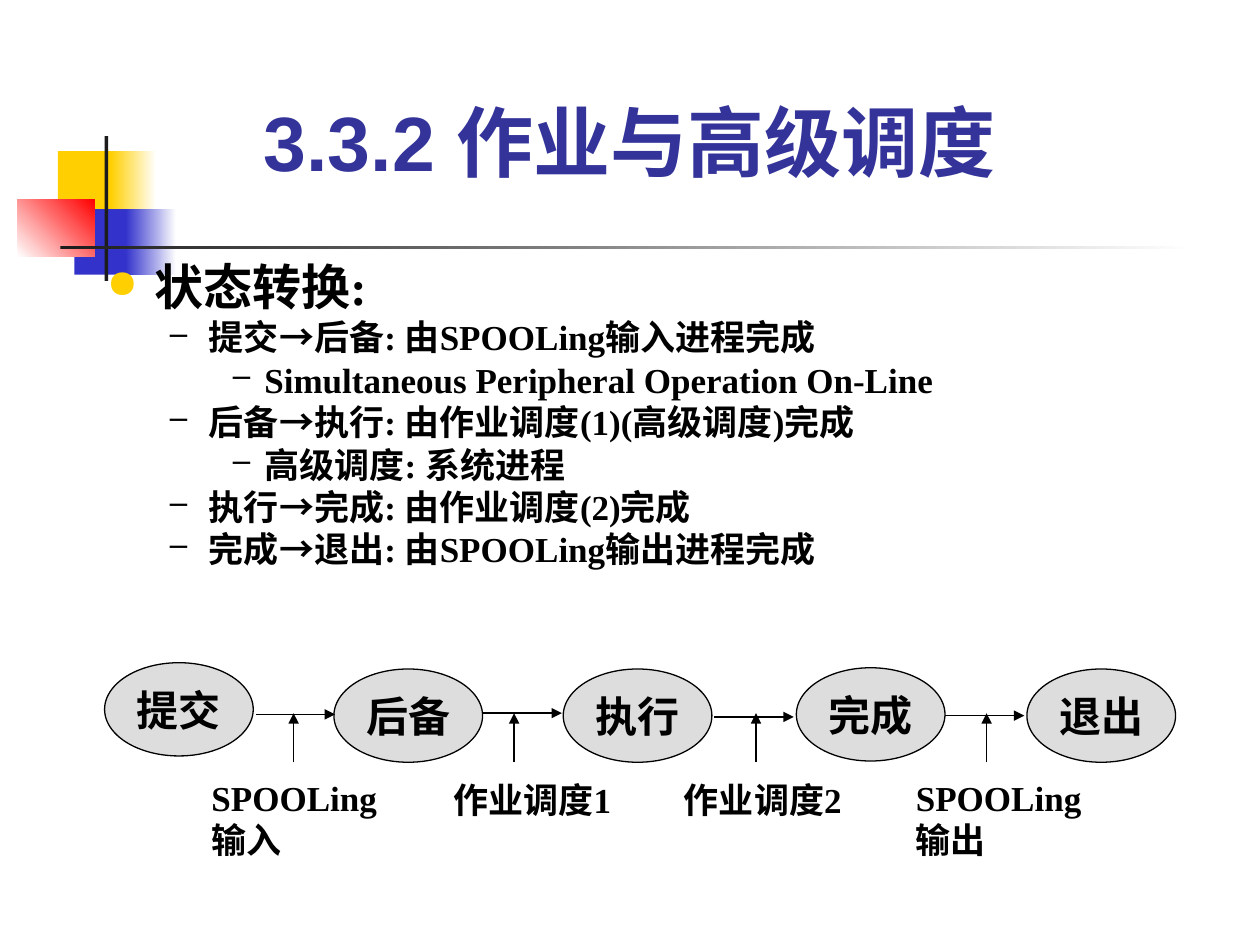
from lxml import etree
from pptx import Presentation
from pptx.dml.color import RGBColor
from pptx.enum import shapes, text
from pptx.oxml import ns
from pptx.util import Inches, Pt

COLORS = {
    "black": "000000", "white": "FFFFFF", "title": "333399", "yellow": "FFCF01",
    "blue": "3333CC", "red": "FF0000", "dark": "1C1C1C", "state": "DDDDDD",
}
SERIF, SANS = "Times New Roman", "Arial"

# left, top, width, height, colours (two make a gradient), gradient angle
DECORATION = [
    (0.46, 1.2, 0.48, 0.52, ["yellow"], 0),
    (0.88, 1.2, 0.36, 0.52, ["yellow", "white"], 0),
    (0.59, 1.66, 0.46, 0.52, ["blue"], 0),
    (1, 1.66, 0.4, 0.52, ["blue", "white"], 0),
    (0.14, 1.58, 0.61, 0.46, ["white", "red"], 45),
    (0.83, 1.08, 0.03, 1.15, ["dark"], 0),
    (0.48, 1.95, 9, 0.03, ["dark", "white"], 0),
]
BULLETS = [
    (0, "状态转换:"),
    (1, "提交→后备: 由SPOOLing输入进程完成"),
    (2, "Simultaneous Peripheral Operation On-Line"),
    (1, "后备→执行: 由作业调度(1)(高级调度)完成"),
    (2, "高级调度: 系统进程"),
    (1, "执行→完成: 由作业调度(2)完成"),
    (1, "完成→退出: 由SPOOLing输出进程完成"),
]
# indent, hanging, text size, space before, bullet, bullet colour, bullet percent
LEVELS = [
    (0.38, 0.38, 28, 0, "●", "yellow", 80),
    (0.81, 0.31, 20, 5, "–", "black", 90),
    (1.25, 0.25, 20, 5, "–", "black", 90),
]
STATES = [("提交", 0.83, 5.26), ("后备", 2.65, 5.31), ("执行", 4.47, 5.31),
          ("完成", 6.32, 5.3), ("退出", 8.15, 5.31)]
STEPS = [(2.03, 5.67), (3.83, 5.66), (5.67, 5.69), (7.5, 5.68)]
# text, left, top, width, x of the pointer
CAUSES = [
    ("SPOOLing输入", 1.58, 6.11, 1.67, 2.33),
    ("作业调度1", 3.5, 6.13, 1.5, 4.08),
    ("作业调度2", 5.33, 6.13, 1.5, 6),
    ("SPOOLing输出", 7.17, 6.11, 1.58, 7.83),
]


def rgb(name):
    return RGBColor.from_string(COLORS[name])


def style_run(r, size, color="black", font=SERIF):
    r.font.size, r.font.bold, r.font.name = Pt(size), True, font
    r.font.color.rgb = rgb(color)


def add_shape(s, kind, left, top, width, height):
    sp = s.shapes.add_shape(kind, *map(Inches, (left, top, width, height)))
    sp.shadow.inherit = False
    return sp


def add_block(s, left, top, width, height, colors, angle):
    sp = add_shape(s, shapes.MSO_SHAPE.RECTANGLE, left, top, width, height)
    sp.line.fill.background()
    if len(colors) == 1:
        sp.fill.solid()
        sp.fill.fore_color.rgb = rgb(colors[0])
        return
    sp.fill.gradient()
    sp.fill.gradient_angle = angle
    for stop, color, position in zip(sp.fill.gradient_stops, colors, (0, 1)):
        stop.color.rgb = rgb(color)
        stop.position = position


def add_text(s, words, left, top, width, height, size, color="black", font=SERIF):
    tf = s.shapes.add_textbox(*map(Inches, (left, top, width, height))).text_frame
    tf.word_wrap = True
    tf.text = words
    style_run(tf.paragraphs[0].runs[0], size, color, font)
    return tf


def add_state(s, name, left, top):
    sp = add_shape(s, shapes.MSO_SHAPE.OVAL, left, top, 1.18, 0.74)
    sp.fill.solid()
    sp.fill.fore_color.rgb = rgb("state")
    sp.line.color.rgb, sp.line.width = rgb("black"), Pt(0.75)
    tf = sp.text_frame
    tf.word_wrap = False
    tf.vertical_anchor = text.MSO_ANCHOR.MIDDLE
    tf.text = name
    tf.paragraphs[0].alignment = text.PP_ALIGN.CENTER
    style_run(tf.paragraphs[0].runs[0], 24)


def add_arrow(s, x1, y1, x2, y2):
    line = s.shapes.add_connector(shapes.MSO_CONNECTOR.STRAIGHT,
                                  *map(Inches, (x1, y1, x2, y2)))
    line.line.color.rgb, line.line.width = rgb("black"), Pt(0.75)
    etree.SubElement(line.line._get_or_add_ln(), ns.qn("a:tailEnd"), type="triangle")
    etree.SubElement(line._element.spPr, ns.qn("a:effectLst"))


def format_bullet(p, level):
    indent, hanging, size, before, char, color, percent = LEVELS[level]
    p.level = level
    pPr = p._p.get_or_add_pPr()
    pPr.set("marL", str(Inches(indent)))
    pPr.set("indent", str(-Inches(hanging)))
    bu_color = etree.SubElement(pPr, ns.qn("a:buClr"))
    etree.SubElement(bu_color, ns.qn("a:srgbClr"), val=COLORS[color])
    etree.SubElement(pPr, ns.qn("a:buSzPct"), val=str(percent * 1000))
    etree.SubElement(pPr, ns.qn("a:buChar"), char=char)
    p.line_spacing, p.space_before = 0.8, Pt(before)
    return size


def add_bullets(s):
    tf = s.shapes.add_textbox(*map(Inches, (0.75, 2.08, 8.5, 2.67))).text_frame
    tf.word_wrap = True
    for i, (level, words) in enumerate(BULLETS):
        p = tf.add_paragraph() if i else tf.paragraphs[0]
        size = format_bullet(p, level)
        before, arrow, after = words.partition("→")
        for part, font in ((before, SERIF), (arrow, SANS), (after, SERIF)):
            if part:
                r = p.add_run()
                r.text = part
                style_run(r, size, font=font)


def main():
    prs = Presentation()
    prs.slide_width, prs.slide_height = Inches(10), Inches(7.5)
    s = prs.slides.add_slide(prs.slide_layouts[6])
    for block in DECORATION:
        add_block(s, *block)
    title = add_text(s, "3.3.2 作业与高级调度", 0.75, 0.57, 8.5, 1.1, 44, "title", SANS)
    title.vertical_anchor = text.MSO_ANCHOR.MIDDLE
    title.paragraphs[0].alignment = text.PP_ALIGN.CENTER
    add_bullets(s)
    for state in STATES:
        add_state(s, *state)
    for x, y in STEPS:
        add_arrow(s, x, y, x + 0.63, y)
    for words, left, top, width, x in CAUSES:
        add_text(s, words, left, top, width, 0.77, 20)
        add_arrow(s, x, 6.05, x, 5.66)
    prs.save("out.pptx")


if __name__ == "__main__":
    main()
